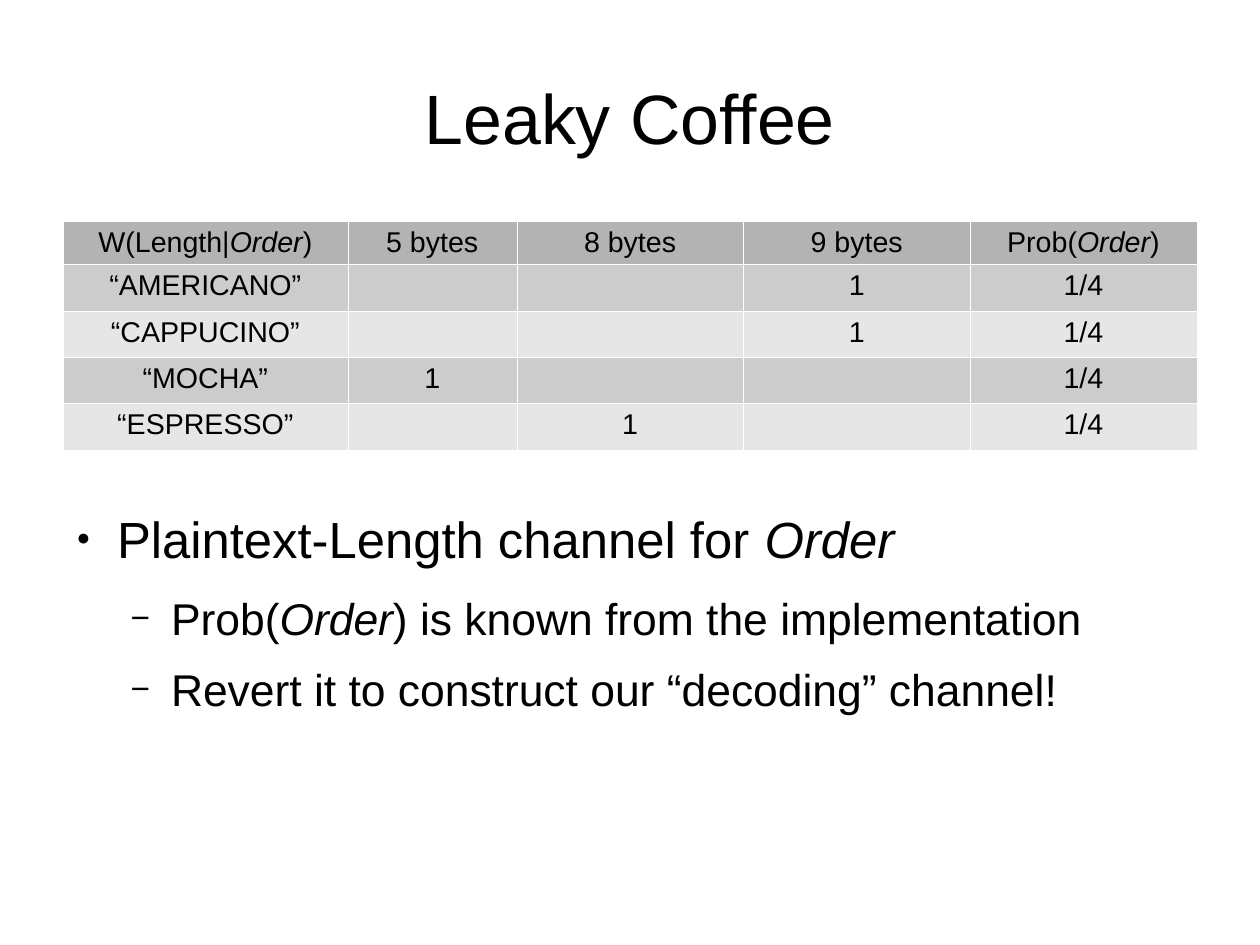
import pptx
import pptx.util
import pptx.dml.color
import pptx.enum.text
import pptx.oxml
import pptx.oxml.ns

Pt = pptx.util.Pt
RGBColor = pptx.dml.color.RGBColor
PP_ALIGN = pptx.enum.text.PP_ALIGN
MSO_ANCHOR = pptx.enum.text.MSO_ANCHOR

BLACK = RGBColor(0x00, 0x00, 0x00)
WHITE = RGBColor(0xFF, 0xFF, 0xFF)
HEADER_GREY = RGBColor(0xB3, 0xB3, 0xB3)
BAND_GREYS = [RGBColor(0xCC, 0xCC, 0xCC), RGBColor(0xE6, 0xE6, 0xE6)]

TITLE = "Leaky Coffee"
CHANNEL = [
    ("W(Length|*Order*)", "5 bytes", "8 bytes", "9 bytes", "Prob(*Order*)"),
    ("“AMERICANO”", "", "", "1", "1/4"),
    ("“CAPPUCINO”", "", "", "1", "1/4"),
    ("“MOCHA”", "1", "", "", "1/4"),
    ("“ESPRESSO”", "", "1", "", "1/4"),
]
POINTS = [
    (0, "Plaintext-Length channel for *Order*"),
    (1, "Prob(*Order*) is known from the implementation"),
    (1, "Revert it to construct our “decoding” channel!"),
]
POINT_STYLES = [
    {"bullet": "●", "percent": 45, "size": 32, "after": 14.2},
    {"bullet": "−", "percent": 75, "size": 28, "after": 11.3},
]

LEFT, WIDTH = 39.7, 714.2
COLUMN_WIDTHS = [179.3, 106.5] + [142.8] * 3
ROW_HEIGHT = 27.5
INDENT, HANGING = 34, 25.5


def write(paragraph, text, size, align=PP_ALIGN.LEFT):
    paragraph.alignment = align
    for position, part in enumerate(text.split("*")):
        if part:
            run = paragraph.add_run()
            run.text = part
            run.font.name = "Arial"
            run.font.size = Pt(size)
            run.font.italic = position % 2 == 1
            run.font.color.rgb = BLACK


def clear_margins(frame):
    frame.margin_left = frame.margin_right = Pt(0)
    frame.margin_top = frame.margin_bottom = Pt(0)
    frame.word_wrap = True


def add_xml(parent, xml, index=None):
    namespace = pptx.oxml.ns.nsdecls("a")
    element = pptx.oxml.parse_xml(xml.replace("NS", namespace, 1))
    parent.insert(len(parent) if index is None else index, element)


def add_borders(cell):
    properties = cell._tc.get_or_add_tcPr()
    for index, side in enumerate(("lnL", "lnR", "lnT", "lnB")):
        add_xml(properties, f'<a:{side} NS w="{Pt(0.06)}"><a:solidFill>'
                f'<a:srgbClr val="{WHITE}"/></a:solidFill></a:{side}>', index)


def add_bullet(paragraph, level, bullet, percent):
    properties = paragraph._p.get_or_add_pPr()
    properties.set("marL", str(Pt(INDENT * (level + 1))))
    properties.set("indent", str(-Pt(HANGING)))
    add_xml(properties, f'<a:buClr NS><a:srgbClr val="{BLACK}"/></a:buClr>')
    add_xml(properties, f'<a:buSzPct NS val="{percent * 1000}"/>')
    add_xml(properties, '<a:buFont NS typeface="Arial"/>')
    add_xml(properties, f'<a:buChar NS char="{bullet}"/>')


def add_title(slide):
    title = slide.shapes.title
    title.left, title.top = Pt(LEFT), Pt(23.8)
    title.width, title.height = Pt(WIDTH), Pt(99.4)
    clear_margins(title.text_frame)
    title.text_frame.vertical_anchor = MSO_ANCHOR.MIDDLE
    write(title.text_frame.paragraphs[0], TITLE, size=44, align=PP_ALIGN.CENTER)


def add_channel(slide):
    channel = slide.shapes.add_table(
        len(CHANNEL), len(COLUMN_WIDTHS), Pt(LEFT), Pt(139),
        Pt(WIDTH), Pt(ROW_HEIGHT * len(CHANNEL))).table
    channel.first_row = channel.horz_banding = False
    for column, width in zip(channel.columns, COLUMN_WIDTHS):
        column.width = Pt(width)
    for row_index, entries in enumerate(CHANNEL):
        grey = BAND_GREYS[(row_index - 1) % 2] if row_index else HEADER_GREY
        for column_index, entry in enumerate(entries):
            cell = channel.cell(row_index, column_index)
            cell.fill.solid()
            cell.fill.fore_color.rgb = grey
            add_borders(cell)
            write(cell.text_frame.paragraphs[0], entry, size=18,
                  align=PP_ALIGN.CENTER)


def add_points(slide):
    frame = slide.shapes.add_textbox(
        Pt(LEFT), Pt(319.7), Pt(WIDTH), Pt(164.9)).text_frame
    clear_margins(frame)
    for index, (level, text) in enumerate(POINTS):
        style = POINT_STYLES[level]
        paragraph = frame.add_paragraph() if index else frame.paragraphs[0]
        paragraph.level = level
        add_bullet(paragraph, level, style["bullet"], style["percent"])
        paragraph.space_after = Pt(style["after"])
        write(paragraph, text, size=style["size"])


def main():
    deck = pptx.Presentation()
    deck.slide_width, deck.slide_height = Pt(793.7), Pt(595.3)
    slide = deck.slides.add_slide(deck.slide_layouts[5])
    add_title(slide)
    add_channel(slide)
    add_points(slide)
    deck.save("out.pptx")


if __name__ == "__main__":
    main()
